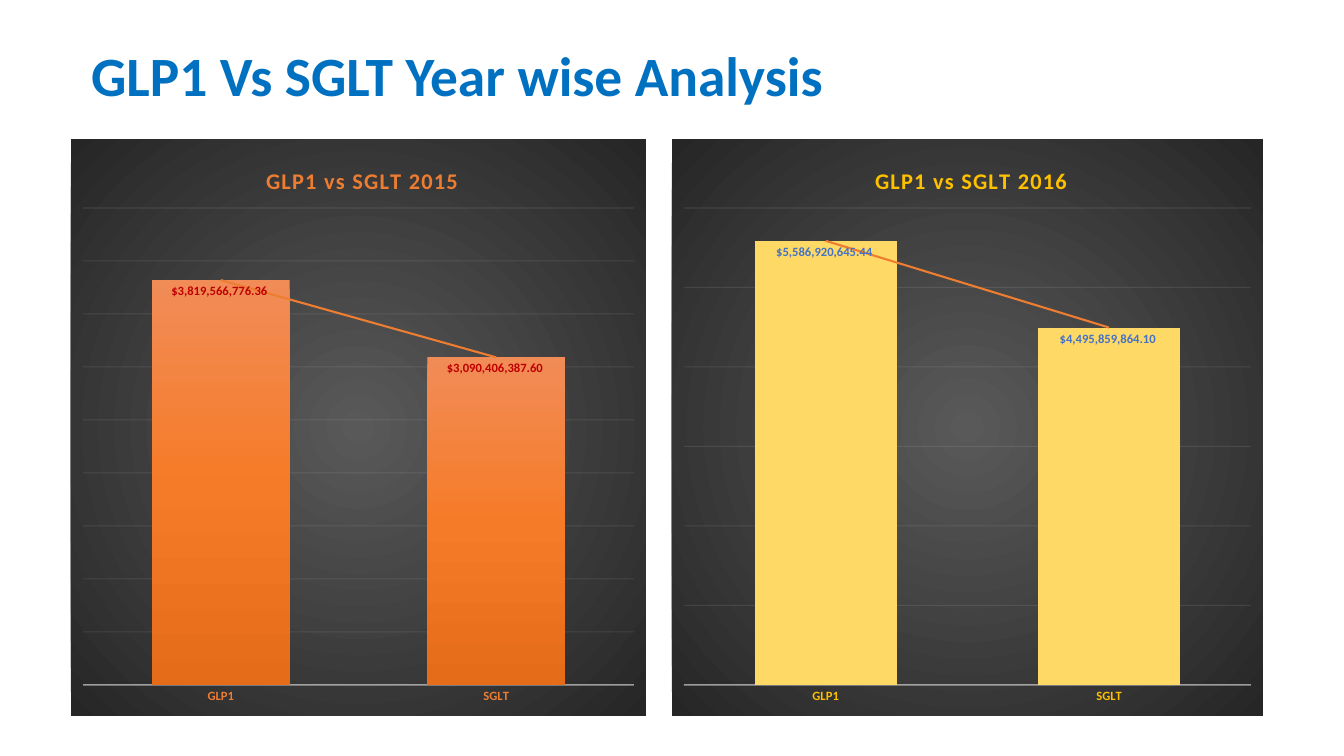
import pptx
import pptx.util
import pptx.dml.color
import pptx.chart.data
import pptx.enum.chart
import pptx.enum.text
import pptx.oxml
import pptx.oxml.ns

TITLE = "GLP1 Vs SGLT Year wise Analysis"
CATS = ["GLP1", "SGLT"]
COLORS = {"head": "0070C0", "orange": "ED7D31", "gold": "FFC000",
          "sand": "FFD966", "red": "C00000", "blue": "4472C4",
          "pale": "F2F2F2", "mid": "595959", "dark": "262626",
          "top": "F18C57", "half": "F67B28", "foot": "E56C19"}
FONT = "Calibri"
MONEY = '"$"#,##0.00_);[Red]\\("$"#,##0.00\\)'
RADIAL = ('<a:path path="circle"><a:fillToRect l="50000" t="50000" '
          'r="50000" b="50000"/></a:path>')
DOWN = '<a:lin ang="5400000" scaled="0"/>'

CHARTS = [
    dict(title="GLP1 vs SGLT 2015", vals=[3819566776.36, 3090406387.60],
         left=71, width=575, top=4.5e9, step=5e8,
         text="orange", label="red", bars=["top", "half", "foot"]),
    dict(title="GLP1 vs SGLT 2016", vals=[5586920645.44, 4495859864.10],
         left=672, width=591, top=6e9, step=1e9,
         text="gold", label="blue", bars=["sand"]),
]
TOP, HIGH = 139, 577                  # both charts
SIDE, ROOF, TALL = 12, 69, 477        # plot inside a chart
NAME_W, NAME_Y = 193, 23              # chart title

Pt = pptx.util.Pt
NS = pptx.oxml.ns.nsdecls("c", "a")
qn = pptx.oxml.ns.qn


def px(n):
    return pptx.util.Emu(round(n * 914400 / 100.8))


def rgb(name):
    return pptx.dml.color.RGBColor.from_string(COLORS[name])


def style(font, size, color):
    font.name, font.size, font.bold = FONT, Pt(size), True
    font.color.rgb = rgb(color)


def xml(text):
    return pptx.oxml.parse_xml(text)


def grad(names, tail):
    stops = "".join(
        f'<a:gs pos="{round(100000 * i / (len(names) - 1))}">'
        f'<a:srgbClr val="{COLORS[n]}"/></a:gs>' for i, n in enumerate(names))
    return f'<a:gradFill {NS}><a:gsLst>{stops}</a:gsLst>{tail}</a:gradFill>'


def place(part, index, inner, **sizes):
    """Fix the place of a chart part, as fractions of the chart."""
    for old in part.findall(qn("c:layout")):
        part.remove(old)
    target = '<c:layoutTarget val="inner"/>' if inner else ""
    modes = '<c:xMode val="edge"/><c:yMode val="edge"/>'
    vals = "".join(f'<c:{k} val="{v:.4f}"/>' for k, v in sizes.items())
    part.insert(index, xml(f'<c:layout {NS}><c:manualLayout>{target}{modes}'
                           f'{vals}</c:manualLayout></c:layout>'))


def rule(line, color, width, root, where, alpha):
    line.color.rgb, line.width = rgb(color), Pt(width)
    for clr in root.xpath(f"{where}//a:srgbClr"):
        clr.append(xml(f'<a:alpha {NS} val="{alpha * 1000}"/>'))


def draw(slide, item):
    data = pptx.chart.data.CategoryChartData(number_format=MONEY)
    data.categories = CATS
    data.add_series("Series 1", item["vals"])
    chart = slide.shapes.add_chart(
        pptx.enum.chart.XL_CHART_TYPE.COLUMN_CLUSTERED, px(item["left"]),
        px(TOP), px(item["width"]), px(HIGH), data).chart
    chart.has_legend = False
    chart.font.name, chart.font.size = FONT, Pt(10)
    space = chart.element
    body = space.find(qn("c:chart"))
    wide = item["width"]

    # Background and plot place
    body.addnext(xml(f'<c:spPr {NS}>{grad(["mid", "dark"], RADIAL)}'
                     '<a:ln><a:noFill/></a:ln></c:spPr>'))
    place(body.find(qn("c:plotArea")), 0, True, x=SIDE / wide, y=ROOF / HIGH,
          w=1 - 2 * SIDE / wide, h=TALL / HIGH)

    # Chart title
    chart.has_title = True
    para = chart.chart_title.text_frame.paragraphs[0]
    run = para.add_run()
    run.text = item["title"]
    style(run.font, 16, item["text"])
    run.font._element.set("spc", "100")
    place(body.find(qn("c:title")), 1, False,
          x=(1 - NAME_W / wide) / 2, y=NAME_Y / HIGH)

    # Axes
    tick = pptx.enum.chart.XL_TICK_MARK.NONE
    cat, val = chart.category_axis, chart.value_axis
    cat.major_tick_mark = cat.minor_tick_mark = tick
    style(cat.tick_labels.font, 9, item["text"])
    rule(cat.format.line, "pale", 1, space, ".//c:catAx/c:spPr", 54)
    val.minimum_scale, val.maximum_scale = 0, item["top"]
    val.major_unit = item["step"]
    val.has_major_gridlines = True
    rule(val.major_gridlines.format.line, "pale", 0.75, space,
         ".//c:majorGridlines", 10)
    val.visible = False

    # Bars and labels
    plot = chart.plots[0]
    plot.gap_width, plot.overlap, plot.vary_by_categories = 100, -24, False
    bars = plot.series[0]
    bars.format.fill.solid()
    bars.format.fill.fore_color.rgb = rgb(item["bars"][0])
    ser = space.xpath(".//c:ser")[0]
    if len(item["bars"]) > 1:
        solid = ser.xpath("c:spPr/a:solidFill")[0]
        solid.getparent().replace(solid, xml(grad(item["bars"], DOWN)))
    labels = bars.data_labels
    labels.show_value = True
    labels.number_format, labels.number_format_is_linked = MONEY, False
    labels.position = pptx.enum.chart.XL_LABEL_POSITION.INSIDE_END
    style(labels.font, 9, item["label"])

    # Trend line
    ser.find(qn("c:cat")).addprevious(xml(
        f'<c:trendline {NS}><c:spPr><a:ln w="{Pt(1.5)}"><a:solidFill>'
        f'<a:srgbClr val="{COLORS["orange"]}"/></a:solidFill></a:ln></c:spPr>'
        '<c:trendlineType val="linear"/><c:dispRSqr val="0"/>'
        '<c:dispEq val="0"/></c:trendline>'))


def main():
    deck = pptx.Presentation()
    deck.slide_width, deck.slide_height = px(1344), px(756)
    slide = deck.slides.add_slide(deck.slide_layouts[5])

    # Slide title
    head = slide.shapes.title
    head.left, head.top, head.width, head.height = map(px, (81, 40, 1171, 77))
    frame = head.text_frame
    frame.text = TITLE
    frame.auto_size = pptx.enum.text.MSO_AUTO_SIZE.NONE
    frame.vertical_anchor = pptx.enum.text.MSO_ANCHOR.MIDDLE
    para = frame.paragraphs[0]
    para.alignment = pptx.enum.text.PP_ALIGN.LEFT
    para.line_spacing = 0.9
    style(para.font, 39.6, "head")

    for item in CHARTS:
        draw(slide, item)
    deck.save("out.pptx")


if __name__ == "__main__":
    main()
